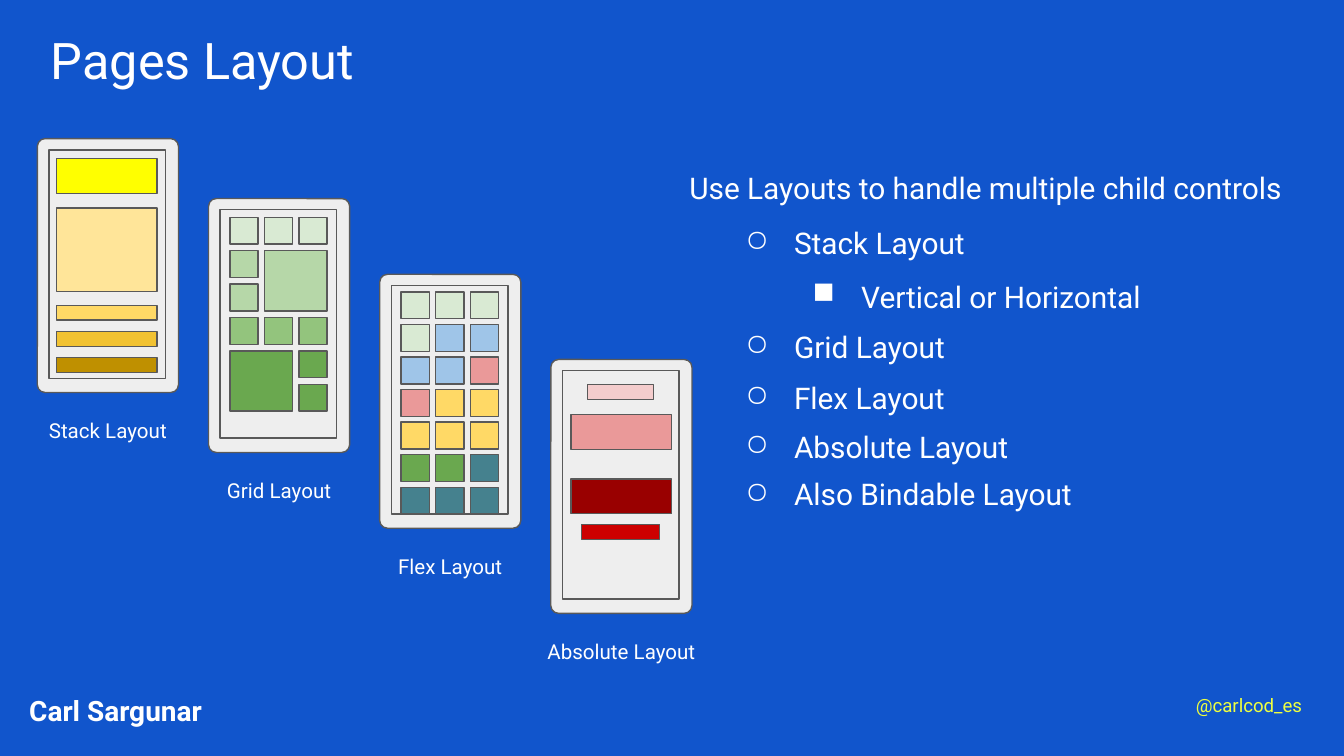
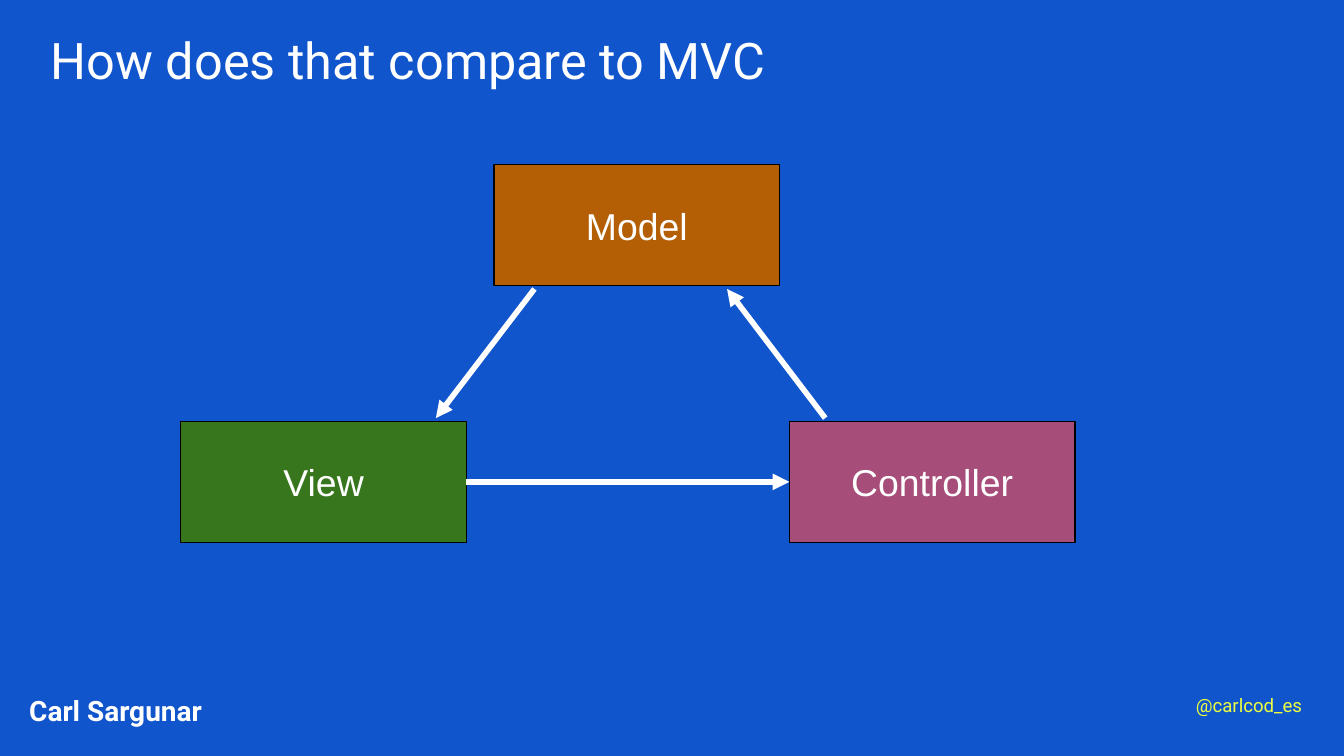
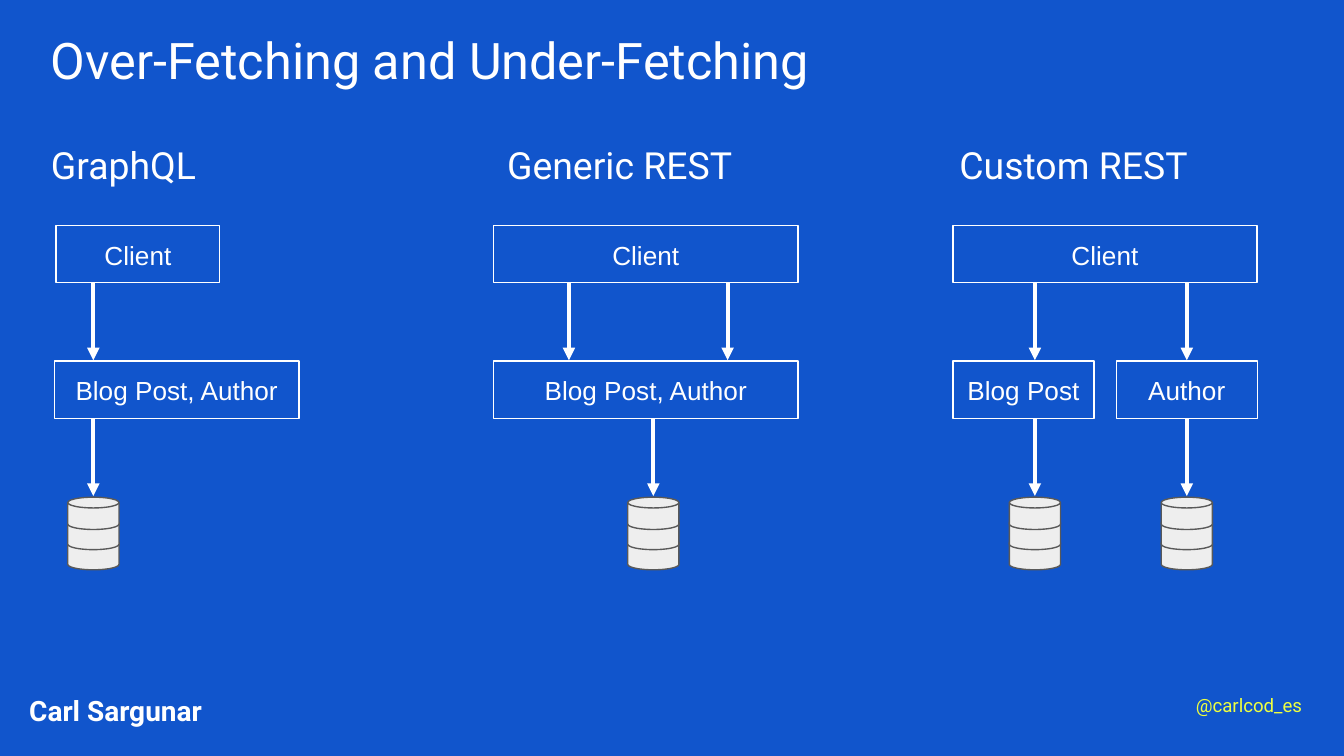
from pptx import Presentation
from pptx.dml.color import RGBColor
from pptx.enum import shapes, text
from pptx.oxml.ns import qn
from pptx.util import Pt
from lxml import etree

BLUE, WHITE, LIME = "1155CC", "FFFFFF", "EEFF41"
PALE, GREY, BLACK = "EEEEEE", "595959", "000000"
HEAD, BODY = "Roboto", "Arial"
KIND = shapes.MSO_SHAPE
TOP, MID, LOW = (text.MSO_ANCHOR.TOP, text.MSO_ANCHOR.MIDDLE,
                 text.MSO_ANCHOR.BOTTOM)
LEFT, MIDDLE = text.PP_ALIGN.LEFT, text.PP_ALIGN.CENTER

MINT, SAGE, LEAF, GREEN = "D9EAD3", "B6D7A8", "93C47D", "6AA84F"
SKY, ROSE, GOLD, TEAL = "9FC5E8", "EA9999", "FFD966", "45818E"


def rgb(code):
    return RGBColor.from_string(code)


def pts(*nums):
    return [Pt(n) for n in nums]


def frame(shape, anchor=TOP):
    """Set the insets and anchor of a shape and return its text frame."""
    tf = shape.text_frame
    tf.word_wrap = True
    tf.vertical_anchor = anchor
    tf.margin_left = tf.margin_right = Pt(7.2)
    tf.margin_top = tf.margin_bottom = Pt(7.2)
    return tf


def write(para, words, size, color=WHITE, font=HEAD, bold=False, align=LEFT,
          lead=None):
    para.alignment = align
    para.line_spacing = lead
    run = para.add_run()
    run.text = words
    run.font.size, run.font.name, run.font.bold = Pt(size), font, bold
    run.font.color.rgb = rgb(color)


def label(host, box, words, size, anchor=TOP, **style):
    tf = frame(host.shapes.add_textbox(*pts(*box)), anchor)
    write(tf.paragraphs[0], words, size, **style)


def block(host, box, fill=None, line=GREY, kind=KIND.RECTANGLE):
    shape = host.shapes.add_shape(kind, *pts(*box))
    shape.shadow.inherit = False
    if fill:
        shape.fill.solid()
        shape.fill.fore_color.rgb = rgb(fill)
    else:
        shape.fill.background()
    shape.line.color.rgb = rgb(line)
    shape.line.width = Pt(0.75)
    return shape


def node(slide, box, words, size, fill=None, line=WHITE, anchor=TOP):
    """Draw a box with a centred caption."""
    tf = frame(block(slide, box, fill, line), anchor)
    write(tf.paragraphs[0], words, size, font=BODY, align=MIDDLE)


def arrow(slide, start, end, width):
    link = slide.shapes.add_connector(shapes.MSO_CONNECTOR.STRAIGHT,
                                      *pts(*start, *end))
    link.line.color.rgb = rgb(WHITE)
    link.line.width = Pt(width)
    etree.SubElement(link.line._get_or_add_ln(), qn("a:tailEnd"),
                     type="triangle")
    etree.SubElement(link._element.spPr, qn("a:effectLst"))


def bullets(slide, top, items):
    """Write (level, words) items as a bulleted list."""
    tf = frame(slide.shapes.add_textbox(*pts(346.3, top, 277, 34 * len(items))))
    for i, (level, words) in enumerate(items):
        para = tf.add_paragraph() if i else tf.paragraphs[0]
        write(para, words, 16, lead=1.5)
        para.level = level
        props = para._p.get_or_add_pPr()
        props.set("marL", str(Pt(36 + 36 * level)))
        props.set("indent", str(Pt(-26)))
        tint = etree.SubElement(props, qn("a:buClr"))
        etree.SubElement(tint, qn("a:srgbClr"), val=WHITE)
        etree.SubElement(props, qn("a:buChar"), char="○■"[level - 1])


def phone(slide, x, y, name, parts):
    """Draw a phone whose parts are (left, top, width, height, fill)."""
    group = slide.shapes.add_group_shape()
    case = block(group, (x, y, 75.6, 136), PALE, kind=KIND.ROUNDED_RECTANGLE)
    case.adjustments[0] = 0.055
    block(group, (x + 6.2, y + 6, 62.6, 122.4), PALE)
    label(group, (x - 14.4, y + 136, 104.4, 28), name, 11, align=MIDDLE,
          lead=1.5)
    for left, top, wide, high, fill in parts:
        block(group, (x + left, y + top, wide, high), fill)


def tile(col, row, fill, top=10, step=17.9, span=1):
    """Place a grid cell, span columns wide and span rows high."""
    more = span - 1
    return (11.5 + 18.5 * col, top + step * row,
            15.1 + 18.5 * more, 14.4 + step * more, fill)


def disks(slide, mid, top):
    """Stack three disks as a database, the upper ones in front."""
    group = slide.shapes.add_group_shape()
    for i in (2, 1, 0):
        block(group, (mid - 13.7, top + 10.8 * i, 27.4, 17.3), PALE,
              kind=KIND.FLOWCHART_MAGNETIC_DISK)


def page(prs, title):
    """Add a slide with its title and footers."""
    slide = prs.slides.add_slide(prs.slide_layouts[6])
    slide.background.fill.solid()
    slide.background.fill.fore_color.rgb = rgb(BLUE)
    label(slide, (20.2, 4.3, 642, 51), title, 27, anchor=LOW)
    label(slide, (8.6, 362, 172, 34.6), "Carl Sargunar", 15, anchor=LOW,
          bold=True)
    label(slide, (633.6, 365.8, 75.6, 26.6), "@carlcod_es", 10, color=LIME)
    return slide


def layouts(prs):
    slide = page(prs, "Pages Layout")
    label(slide, (362.2, 74.2, 353, 63),
          "Use Layouts to handle multiple child controls", 16, lead=1.5)
    bullets(slide, 103.7, [(1, "Stack Layout"), (2, "Vertical or Horizontal")])
    for top, words in ((159.1, "Grid Layout"), (186.5, "Flex Layout"),
                       (213, "Absolute Layout"),
                       (238.3, "Also Bindable Layout")):
        bullets(slide, top, [(1, words)])

    bars = [(10.8, 18.7, "FFFF00"), (37.2, 44.6, "FFE599"), (89.3, 8, GOLD),
            (103.4, 8, "F1C232"), (117.4, 8, "BF9000")]
    stack = [(10.2, top, 54, high, fill) for top, high, fill in bars]

    grid = [tile(col, row, fill) for row, fill in ((0, MINT), (3, LEAF))
            for col in range(3)]
    grid += [tile(0, row, SAGE) for row in (1, 2)]
    grid += [tile(2, row, GREEN) for row in (4, 5)]
    grid += [tile(1, 1, SAGE, span=2), tile(0, 4, GREEN, span=2)]

    fills = ([MINT] * 4 + [SKY] * 4 + [ROSE] * 2 + [GOLD] * 5 + [GREEN] * 2
             + [TEAL] * 4)
    flex = [tile(i % 3, i // 3, fill, top=9.4, step=17.45)
            for i, fill in enumerate(fills)]

    free = [(10.8, 29.5, 54, 18.7, ROSE), (19.6, 13.5, 35.6, 8, "F4CCCC"),
            (16.5, 88.4, 41.8, 8, "CC0000"), (10.8, 64, 54, 18.7, "990000")]

    phones = [("Stack", 74.3, stack), ("Grid", 106.4, grid),
              ("Flex", 147, flex), ("Absolute", 192.6, free)]
    for i, (name, top, parts) in enumerate(phones):
        phone(slide, 20 + 91.7 * i, top, f"{name} Layout", parts)


def compare(prs):
    slide = page(prs, "How does that compare to MVC")
    for left, top, words, fill in ((264.7, 88.2, "Model", "B45F06"),
                                   (422.9, 225.8, "Controller", "A64D79"),
                                   (96.9, 225.8, "View", "38761D")):
        node(slide, (left, top, 153, 64.8), words, 20, fill, BLACK, MID)
    for start, end in (((442.1, 224), (389.5, 154.8)),
                       ((249.9, 258.2), (422.9, 258.2)),
                       ((286.3, 154.8), (233.5, 224))):
        arrow(slide, start, end, 3)


def fetching(prs):
    slide = page(prs, "Over-Fetching and Under-Fetching")
    client, data = 120.8, 193.5
    for left, wide, words in ((20.2, 108, "GraphQL"),
                              (264.6, 141, "Generic REST"),
                              (506.9, 141, "Custom REST")):
        label(slide, (left, 69.1, wide, 39), words, 20)
    for left, top, wide, words in ((30, client, 87.8, "Client"),
                                   (264.5, client, 163, "Client"),
                                   (510.5, client, 163, "Client"),
                                   (29.2, data, 131, "Blog Post, Author"),
                                   (264.5, data, 163, "Blog Post, Author"),
                                   (510.5, data, 75.6, "Blog Post"),
                                   (598, data, 75.6, "Author")):
        node(slide, (left, top, wide, 30.6), words, 14)
    for x in (50, 304.8, 389.8, 554.4, 635.8):
        arrow(slide, (x, 151.4), (x, 193), 2.25)
    for x in (50, 350, 554.4, 635.8):
        arrow(slide, (x, 224.1), (x, 265.7), 2.25)
        disks(slide, x, 266.4)


def main():
    prs = Presentation()
    prs.slide_width, prs.slide_height = pts(720, 405)
    layouts(prs)
    compare(prs)
    fetching(prs)
    prs.save("out.pptx")


if __name__ == "__main__":
    main()
